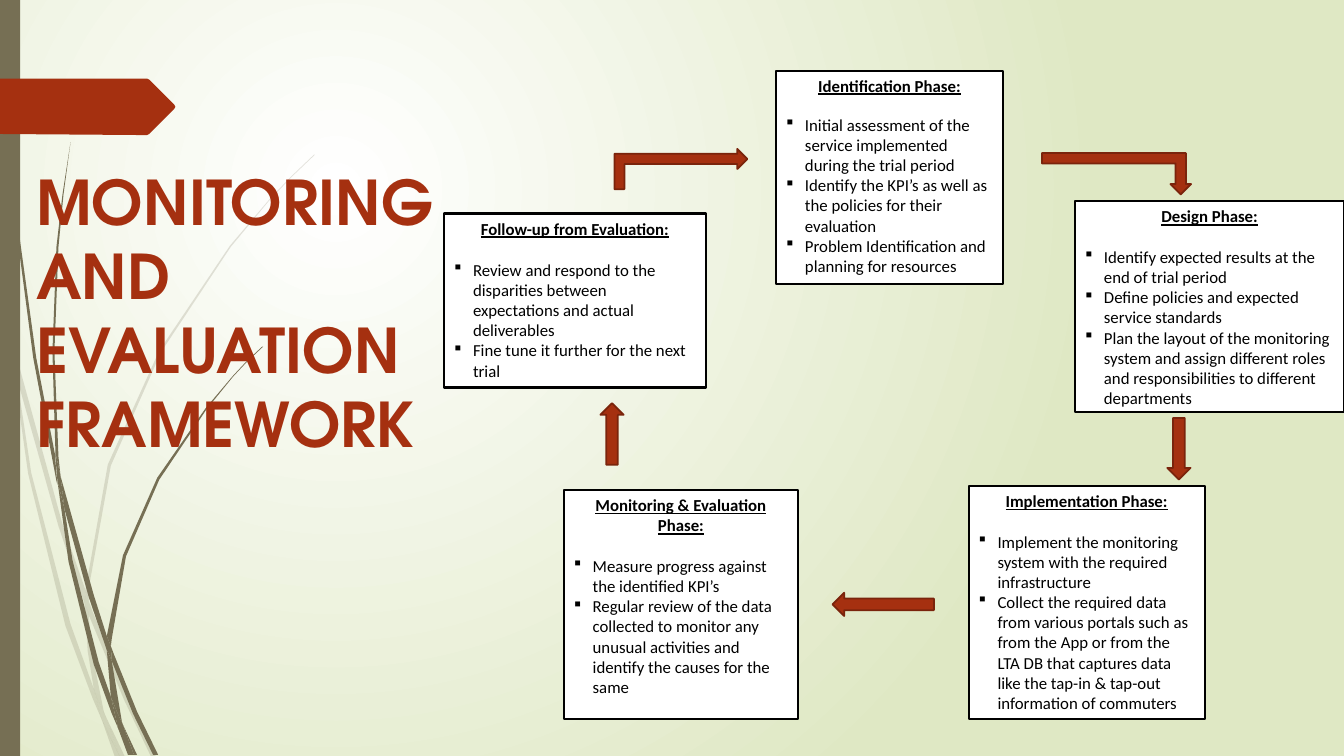
"""Builds the monitoring and evaluation framework slide."""
from lxml.etree import SubElement
from pptx import Presentation
from pptx.dml.color import RGBColor
from pptx.enum.shapes import MSO_SHAPE
from pptx.enum.text import MSO_ANCHOR, MSO_AUTO_SIZE, PP_ALIGN
from pptx.oxml.ns import qn
from pptx.util import Pt

COLORS = {"white": "FFFFFF", "meadow": "DFE8C4", "olive": "766F54",
          "rust": "A53010", "rust_edge": "7A240C", "black": "000000"}

# Outline points are counted in steps of this length.
OUTLINE_STEP = Pt(0.72)

PALE_BLADES = [
    [(11, 350), (9, 322), (0, 282), (0, 299), (10, 344)],
    [(58, 522), (84, 599), (85, 586), (62, 520), (14, 345), (17, 376)],
    [(92, 607), (88, 596), (88, 610), (123, 694), (150, 751), (155, 751),
     (127, 692)],
    [(119, 751), (124, 751), (105, 711)],
    [(93, 683), (70, 619), (31, 469), (17, 376), (11, 350), (28, 470),
     (65, 621), (92, 693), (101, 714), (99, 707)],
    [(84, 599), (87, 646), (93, 683), (96, 692), (105, 711), (103, 706),
     (91, 646), (88, 610), (88, 608)],
    [(88, 584), (110, 462), (160, 349), (229, 245), (268, 198), (290, 175),
     (312, 154), (312, 153), (289, 175), (268, 197), (228, 244), (158, 348),
     (107, 461), (85, 584), (85, 586), (88, 596)],
    [(101, 714), (114, 751), (119, 751)],
    [(88, 608), (88, 610), (88, 596), (85, 586), (84, 599)],
    [(96, 692), (93, 683), (99, 707), (101, 714), (119, 751), (105, 711)],
]
DARK_BLADES = [
    [(7, 110), (17, 233), (33, 355), (56, 477), (57, 481), (55, 457),
     (55, 453), (36, 355), (19, 232), (8, 109), (5, 48), (4, 0), (3, 0),
     (4, 48)],
    [(88, 592), (106, 645), (106, 633), (106, 631), (93, 590), (60, 472),
     (64, 505)],
    [(113, 649), (110, 641), (111, 656), (132, 708), (152, 749), (157, 749),
     (136, 706)],
    [(110, 691), (98, 657), (72, 556), (64, 505), (57, 477), (68, 557),
     (93, 659), (111, 708), (117, 722), (116, 717)],
    [(60, 472), (58, 453), (54, 349), (58, 245), (63, 193), (70, 141),
     (62, 193), (56, 245), (52, 349), (55, 449)],
    [(133, 749), (136, 749), (122, 719)],
    [(57, 477), (64, 505), (60, 472), (55, 449), (55, 453)],
    [(111, 633), (125, 552), (158, 476), (205, 406), (231, 374), (245, 359),
     (261, 344), (260, 344), (245, 358), (231, 373), (204, 405), (156, 474),
     (122, 551), (106, 631), (110, 641)],
    [(117, 722), (127, 749), (131, 749)],
    [(106, 645), (110, 691), (116, 706), (122, 719), (121, 716), (111, 656),
     (109, 651)],
    [(106, 645), (109, 651), (111, 656), (110, 641), (106, 631), (106, 633)],
    [(116, 706), (110, 691), (116, 717), (117, 722), (130, 749), (133, 749),
     (122, 719)],
]
BANNER = [(173, 108), (148, 133), (146, 134), (136, 134), (0, 133), (0, 78),
          (136, 78), (146, 78), (148, 79), (173, 104), (174, 106)]

PHASES = [
    ((554.4, 50.4, 162, 152.3), "Identification Phase:", 13.4, [
        "Initial assessment of the service implemented during the trial period",
        "Identify the KPI’s as well as the policies for their evaluation",
        "Problem Identification and planning for resources"]),
    ((317.3, 152.5, 186.8, 124.3), "Follow-up from Evaluation:", 14.9, [
        "Review and respond to the disparities between expectations and "
        "actual deliverables",
        "Fine tune it further for the next trial"]),
    ((402.8, 350, 167.2, 163.8), "Monitoring & Evaluation Phase:", 14.6, [
        "Measure progress against the identified KPI’s",
        "Regular review of the data collected to monitor any unusual "
        "activities and identify the causes for the same"]),
    ((692, 347, 168.5, 166.3), "Implementation Phase:", 14.6, [
        "Implement the monitoring system with the required infrastructure",
        "Collect the required data from various portals such as from the App "
        "or from the LTA DB that captures data like the tap-in & tap-out "
        "information of commuters"]),
    ((768, 143.7, 192.2, 150.6), "Design Phase:", 14.6, [
        "Identify expected results at the end of trial period",
        "Define policies and expected service standards",
        "Plan the layout of the monitoring system and assign different roles "
        "and responsibilities to different departments"]),
]

ARROWS = [
    (MSO_SHAPE.BENT_UP_ARROW, (744.2, 109.4, 106.6, 29.5), {"flip": "flipV"}),
    (MSO_SHAPE.DOWN_ARROW, (833.8, 298.6, 16.6, 43.9), {}),
    (MSO_SHAPE.LEFT_ARROW, (594.7, 423.4, 72.4, 16.6), {}),
    (MSO_SHAPE.DOWN_ARROW, (428.9, 288, 16.6, 43.9), {"flip": "flipV"}),
    (MSO_SHAPE.BENT_UP_ARROW, (472, 73.2, 28.8, 95),
     {"flip": "flipH", "turn": 90}),
]


def color(name):
    """Return the named colour."""
    return RGBColor.from_string(COLORS[name])


def paint(shape, fill, line=None, width=1.5):
    """Give a shape a flat fill and an optional outline."""
    shape.shadow.inherit = False
    shape.fill.solid()
    shape.fill.fore_color.rgb = color(fill)
    if line:
        shape.line.color.rgb = color(line)
        shape.line.width = Pt(width)
    else:
        shape.line.fill.background()


def add_preset(page, kind, place, fill, **outline):
    """Add a painted preset shape at a place given in points."""
    shape = page.shapes.add_shape(kind, *(Pt(length) for length in place))
    paint(shape, fill, **outline)
    return shape


def add_outline(page, points, fill, opacity=100):
    """Add a closed outline with a flat, possibly translucent fill."""
    builder = page.shapes.build_freeform(*points[0], scale=OUTLINE_STEP)
    builder.add_line_segments(points[1:], close=True)
    shape = builder.convert_to_shape()
    paint(shape, fill)
    if opacity < 100:
        shade = shape._element.spPr.find(".//" + qn("a:srgbClr"))
        SubElement(shade, qn("a:alpha"), val=str(opacity * 1000))


def add_text(para, text, size=12, font="Calibri", ink="black", bold=False,
             underline=False, align=PP_ALIGN.LEFT, after=0):
    """Write one formatted run into a paragraph."""
    span = para.add_run()
    span.text = text
    span.font.size = Pt(size)
    span.font.name = font
    span.font.color.rgb = color(ink)
    span.font.bold = bold
    span.font.underline = underline
    para.alignment = align
    para.space_after = Pt(after)


def add_bullet(para):
    """Give a paragraph a square Wingdings bullet and a hanging indent."""
    properties = para._p.get_or_add_pPr()
    properties.set("marL", str(Pt(13.5)))
    properties.set("indent", str(Pt(-13.5)))
    SubElement(properties, qn("a:buFont"), typeface="Wingdings", charset="2")
    SubElement(properties, qn("a:buChar"), char="§")


def add_phase(page, place, heading, gap, points):
    """Add a phase box with its heading and bullet points."""
    box = add_preset(page, MSO_SHAPE.RECTANGLE, place, "white", line="black")
    frame = box.text_frame
    frame.word_wrap = True
    frame.vertical_anchor = MSO_ANCHOR.TOP
    add_text(frame.paragraphs[0], heading, bold=True, underline=True,
             align=PP_ALIGN.CENTER, after=gap)
    for point in points:
        para = frame.add_paragraph()
        add_text(para, point)
        add_bullet(para)


def add_arrow(page, kind, place, flip=None, turn=0):
    """Add a block arrow, mirrored and turned as asked."""
    arrow = add_preset(page, kind, place, "rust", line="rust_edge", width=1.25)
    arrow.rotation = turn
    if flip:
        arrow._element.spPr.xfrm.set(flip, "1")


def set_background(page):
    """Fill the page with a round gradient from white to green."""
    fill = page.background.fill
    fill.gradient()
    for stop, name in zip(fill.gradient_stops, ("white", "meadow")):
        stop.color.rgb = color(name)
    gradient = page._element.find(".//" + qn("a:gradFill"))
    gradient.remove(gradient.find(qn("a:lin")))
    circle = SubElement(gradient, qn("a:path"), path="circle")
    SubElement(circle, qn("a:fillToRect"), l="50000", t="50000",
               r="100000", b="100000")


def set_title(page, text):
    """Place and format the title in front of the other shapes."""
    title = page.shapes.title
    title.left, title.top = Pt(18.7), Pt(61.9)
    title.width, title.height = Pt(298.8), Pt(270)
    frame = title.text_frame
    frame.word_wrap = True
    frame.auto_size = MSO_AUTO_SIZE.NONE
    frame.vertical_anchor = MSO_ANCHOR.BOTTOM
    add_text(frame.paragraphs[0], text, size=44, font="TeX Gyre Adventor",
             ink="rust", bold=True)
    page.shapes._spTree.append(title._element)


def main():
    """Build and save the deck."""
    deck = Presentation()
    deck.slide_width, deck.slide_height = Pt(960), Pt(540)
    page = deck.slides.add_slide(deck.slide_layouts[5])
    set_background(page)
    for blades, opacity in ((PALE_BLADES, 20), (DARK_BLADES, 100)):
        for blade in blades:
            add_outline(page, blade, "olive", opacity)
    add_preset(page, MSO_SHAPE.RECTANGLE, (0, 0, 14.4, 540), "olive")
    add_outline(page, BANNER, "rust")
    for phase in PHASES:
        add_phase(page, *phase)
    for kind, place, pose in ARROWS:
        add_arrow(page, kind, place, **pose)
    set_title(page, "MONITORING AND EVALUATION FRAMEWORK")
    deck.save("out.pptx")


if __name__ == "__main__":
    main()
